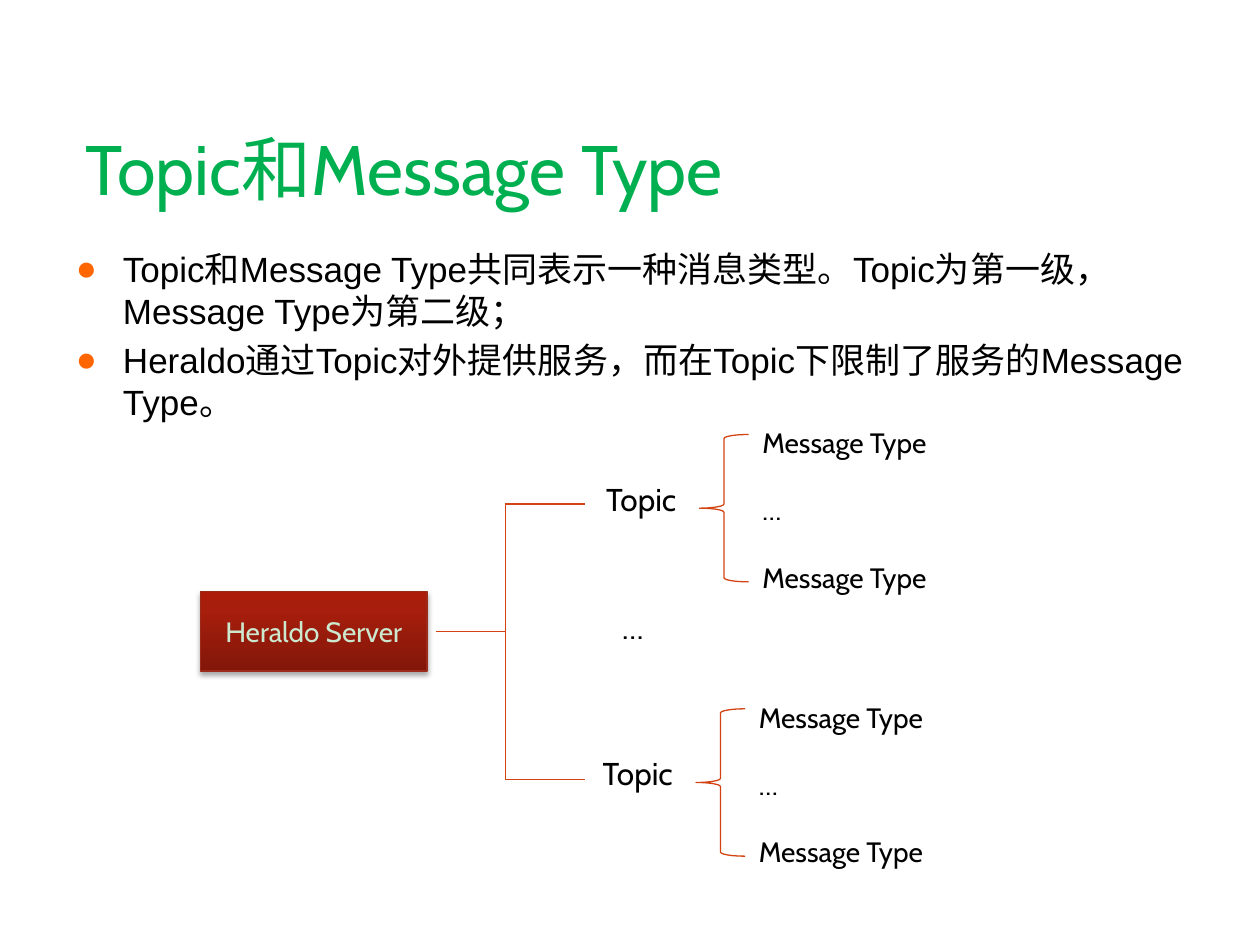
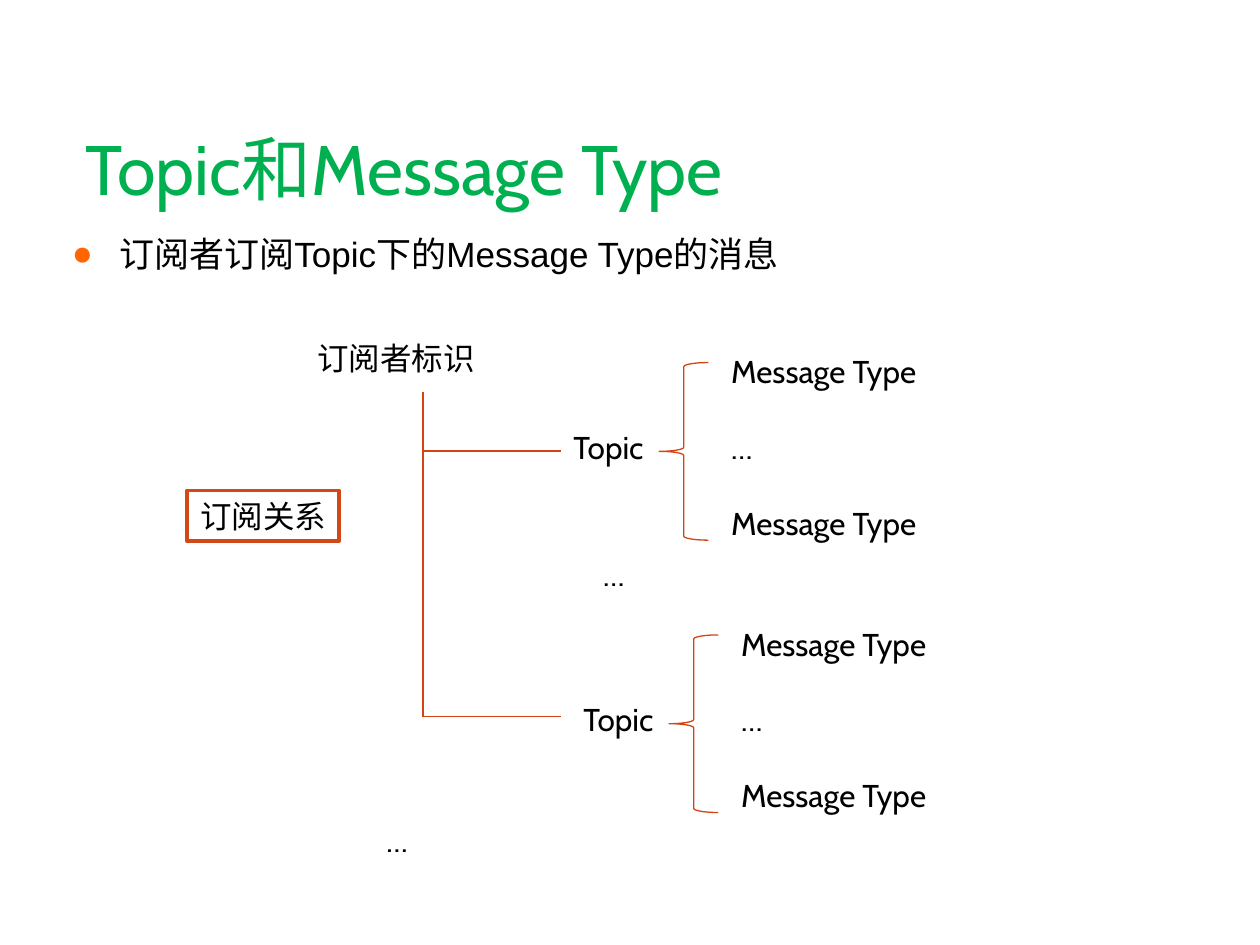
from dataclasses import dataclass
from typing import Iterable, Optional

from pptx import Presentation
from pptx.dml.color import RGBColor
from pptx.enum.shapes import MSO_CONNECTOR as Link, MSO_SHAPE as Preset
from pptx.enum.text import MSO_ANCHOR as Anchor, PP_ALIGN as Align
from pptx.oxml import parse_xml
from pptx.oxml.ns import nsdecls
from pptx.shapes.autoshape import Shape
from pptx.slide import Slide
from pptx.util import Cm, Pt

GREEN = RGBColor(0x00, 0xB0, 0x50)
PALE_GREEN = RGBColor(0xCC, 0xE8, 0xCF)
BLACK = RGBColor(0x00, 0x00, 0x00)
WHITE = RGBColor(0xFF, 0xFF, 0xFF)
ORANGE = RGBColor(0xFF, 0x66, 0x00)
RUST = RGBColor(0xD3, 0x44, 0x12)
FRAME_RUST = RGBColor(0xD3, 0x48, 0x17)
SERVER_EDGE = RGBColor(0x9B, 0x2A, 0x1B)
SERVER_STOPS = (
    (0, RGBColor(0x82, 0x17, 0x09)),
    (80, RGBColor(0xA8, 0x1E, 0x0C)),
    (100, RGBColor(0xAC, 0x1B, 0x09)),
)
HEADING = "Topic和Message Type"
PRODUCT = "Heraldo"
LABEL_FONT, BODY_FONT = "Cabin", "Arial"
LABEL_HEIGHT = 1.02
BRACE_WIDTH = 0.99
THIN = 0.75


@dataclass(frozen=True)
class Box:
    """A rectangle in centimetres."""

    left: float
    top: float
    width: float
    height: float

    def lengths(self) -> tuple[Cm, Cm, Cm, Cm]:
        """Return the four sides as lengths."""
        return Cm(self.left), Cm(self.top), Cm(self.width), Cm(self.height)


@dataclass(frozen=True)
class Segment:
    """A straight line between two points in centimetres."""

    x1: float
    y1: float
    x2: float
    y2: float


@dataclass(frozen=True)
class BranchStyle:
    """Offsets from a topic label to its brace and message types."""

    size: int
    brace_dx: float
    brace_dy: float
    brace_height: float
    types_dx: float
    types_dy: float
    types_width: float
    types_height: float


@dataclass(frozen=True)
class Ellipsis:
    """The place of a mark that stands for further items."""

    left: float
    top: float


SERVER_BRANCH = BranchStyle(16, 2.13, -0.79, 2.97, 3.15, -1.09, 3.94, 3.68)
SUBSCRIBER_BRANCH = BranchStyle(18, 1.98, -1.19, 3.58, 3.18, -1.52, 4.78, 4.11)


def write(
    shape: Shape,
    lines: Iterable[str],
    *,
    size: float = 18,
    font: str = LABEL_FONT,
    color: RGBColor = BLACK,
    align: Align = Align.LEFT,
    anchor: Anchor = Anchor.TOP,
    gap: float = 0,
    gap_first: bool = False,
    bullet: Optional[RGBColor] = None,
    side_margin: float = 0.25,
) -> None:
    """Fill a shape with formatted paragraphs."""
    frame = shape.text_frame
    frame.word_wrap = True
    frame.vertical_anchor = anchor
    frame.margin_left = frame.margin_right = Cm(side_margin)
    for index, line in enumerate(lines):
        paragraph = frame.add_paragraph() if index else frame.paragraphs[0]
        paragraph.alignment = align
        paragraph.space_before = Pt(gap if index or gap_first else 0)
        run = paragraph.add_run()
        run.text = line
        run.font.size = Pt(size)
        run.font.name = font
        run.font.color.rgb = color
        if bullet is not None:
            add_bullet(paragraph, bullet)


def add_bullet(paragraph, color: RGBColor) -> None:
    """Give a paragraph a round bullet with a hanging indent."""
    properties = paragraph._p.get_or_add_pPr()
    properties.set("marL", str(Cm(0.95)))
    properties.set("indent", str(Cm(-0.95)))
    for markup in (
        f'<a:buClr {nsdecls("a")}><a:srgbClr val="{color}"/></a:buClr>',
        f'<a:buFont {nsdecls("a")} typeface="{BODY_FONT}"/>',
        f'<a:buChar {nsdecls("a")} char="●"/>',
    ):
        properties.append(parse_xml(markup))


def add_text(slide: Slide, box: Box, *lines: str, **text_format) -> None:
    """Add a text box."""
    write(slide.shapes.add_textbox(*box.lengths()), lines, **text_format)


def add_preset(
    slide: Slide, preset: Preset, box: Box, edge: RGBColor, weight: float = THIN
) -> Shape:
    """Add an unfilled preset shape without a shadow."""
    shape = slide.shapes.add_shape(preset, *box.lengths())
    shape.shadow.inherit = False
    shape.fill.background()
    shape.line.color.rgb = edge
    shape.line.width = Pt(weight)
    return shape


def add_segment(slide: Slide, segment: Segment) -> None:
    """Add one thin line of the tree."""
    ends = (segment.x1, segment.y1, segment.x2, segment.y2)
    line = slide.shapes.add_connector(Link.STRAIGHT, *map(Cm, ends))
    line.line.color.rgb = RUST
    line.line.width = Pt(THIN)
    line._element.spPr.append(parse_xml(f'<a:effectLst {nsdecls("a")}/>'))


def add_server(slide: Slide, box: Box, name: str) -> None:
    """Add the server block with its gradient and soft shadow."""
    server = add_preset(slide, Preset.RECTANGLE, box, SERVER_EDGE)
    stops = "".join(
        f'<a:gs pos="{place * 1000}"><a:srgbClr val="{color}"/></a:gs>'
        for place, color in SERVER_STOPS
    )
    gradient = parse_xml(
        f'<a:gradFill {nsdecls("a")} rotWithShape="1"><a:gsLst>{stops}</a:gsLst>'
        '<a:lin ang="16200000" scaled="0"/></a:gradFill>'
    )
    shadow = parse_xml(
        f'<a:effectLst {nsdecls("a")}><a:outerShdw blurRad="{Pt(3.1)}" '
        f'dist="{Pt(1.8)}" dir="5400000" rotWithShape="0"><a:srgbClr val="000000">'
        '<a:alpha val="35000"/></a:srgbClr></a:outerShdw></a:effectLst>'
    )
    properties = server._element.spPr
    properties.replace(properties.find(f"{{{gradient.nsmap['a']}}}noFill"), gradient)
    properties.replace(properties.find(shadow.tag), shadow)
    write(
        server, [name], size=16, color=PALE_GREEN,
        align=Align.CENTER, anchor=Anchor.MIDDLE,
    )


def add_branch(slide: Slide, left: float, top: float, style: BranchStyle) -> None:
    """Add a topic, its brace and its message types."""
    add_text(slide, Box(left, top, 2.11, LABEL_HEIGHT), "Topic")
    brace = Box(
        left + style.brace_dx, top + style.brace_dy, BRACE_WIDTH, style.brace_height
    )
    add_preset(slide, Preset.LEFT_BRACE, brace, RUST)
    types = Box(
        left + style.types_dx, top + style.types_dy,
        style.types_width, style.types_height,
    )
    add_text(
        slide, types, "Message Type", "…", "Message Type",
        size=style.size, gap=style.size * 1.2,
    )


def add_ellipses(slide: Slide, marks: Iterable[Ellipsis]) -> None:
    """Add the marks for further items."""
    for mark in marks:
        add_text(slide, Box(mark.left, mark.top, 1.14, LABEL_HEIGHT), "…")


def start_slide(deck, body_left: float, body_top: float, *points: str) -> Slide:
    """Add a slide with the shared title and its bullet points."""
    slide = deck.slides.add_slide(deck.slide_layouts[6])
    slide.background.fill.solid()
    slide.background.fill.fore_color.rgb = WHITE
    add_text(
        slide, Box(1.48, 2.52, 22.66, 1.7), HEADING,
        size=40, color=GREEN, anchor=Anchor.MIDDLE,
    )
    add_text(
        slide, Box(body_left, body_top, 22.86, 12.14), *points,
        size=20, font=BODY_FONT, gap=4, gap_first=True, bullet=ORANGE,
    )
    return slide


def build_server_slide(deck) -> None:
    """Show how the server splits into topics and message types."""
    slide = start_slide(
        deck, 1.28, 4.86,
        "Topic和Message Type共同表示一种消息类型。Topic为第一级，Message Type为第二级；",
        f"{PRODUCT}通过Topic对外提供服务，而在Topic下限制了服务的Message Type。",
    )
    add_server(slide, Box(4.04, 11.93, 4.57, 1.6), f"{PRODUCT} Server")
    trunk, tip, upper, lower = 10.19, 11.79, 10.16, 15.72
    for segment in (
        Segment(8.79, 12.73, trunk, 12.73),
        Segment(trunk, upper, trunk, lower),
        Segment(trunk, upper, tip, upper),
        Segment(trunk, lower, tip, lower),
    ):
        add_segment(slide, segment)
    add_branch(slide, 11.97, 9.55, SERVER_BRANCH)
    add_branch(slide, 11.9, 15.08, SERVER_BRANCH)
    add_ellipses(slide, [Ellipsis(12.29, 12.14)])


def build_subscriber_slide(deck) -> None:
    """Show which topics and message types a subscriber follows."""
    slide = start_slide(deck, 1.2, 4.57, "订阅者订阅Topic下的Message Type的消息")
    add_text(slide, Box(6.15, 6.71, 3.9, LABEL_HEIGHT), "订阅者标识")
    trunk, tip, upper, lower = 8.53, 11.3, 9.09, 14.45
    for segment in (
        Segment(trunk, 7.9, trunk, upper),
        Segment(trunk, upper, tip, upper),
        Segment(trunk, upper, trunk, lower),
        Segment(trunk, lower, tip, lower),
    ):
        add_segment(slide, segment)
    add_branch(slide, 11.31, 8.5, SUBSCRIBER_BRANCH)
    add_branch(slide, 11.51, 13.99, SUBSCRIBER_BRANCH)
    relation = add_preset(
        slide, Preset.RECTANGLE, Box(3.77, 9.89, 3.07, LABEL_HEIGHT), FRAME_RUST, 2
    )
    write(relation, ["订阅关系"], align=Align.CENTER, side_margin=0)
    add_ellipses(slide, [Ellipsis(11.91, 11.07), Ellipsis(7.54, 16.43)])


def main() -> None:
    """Build and save the deck."""
    deck = Presentation()
    deck.slide_width, deck.slide_height = Cm(25.4), Cm(19.05)
    build_server_slide(deck)
    build_subscriber_slide(deck)
    deck.save("out.pptx")


if __name__ == "__main__":
    main()
